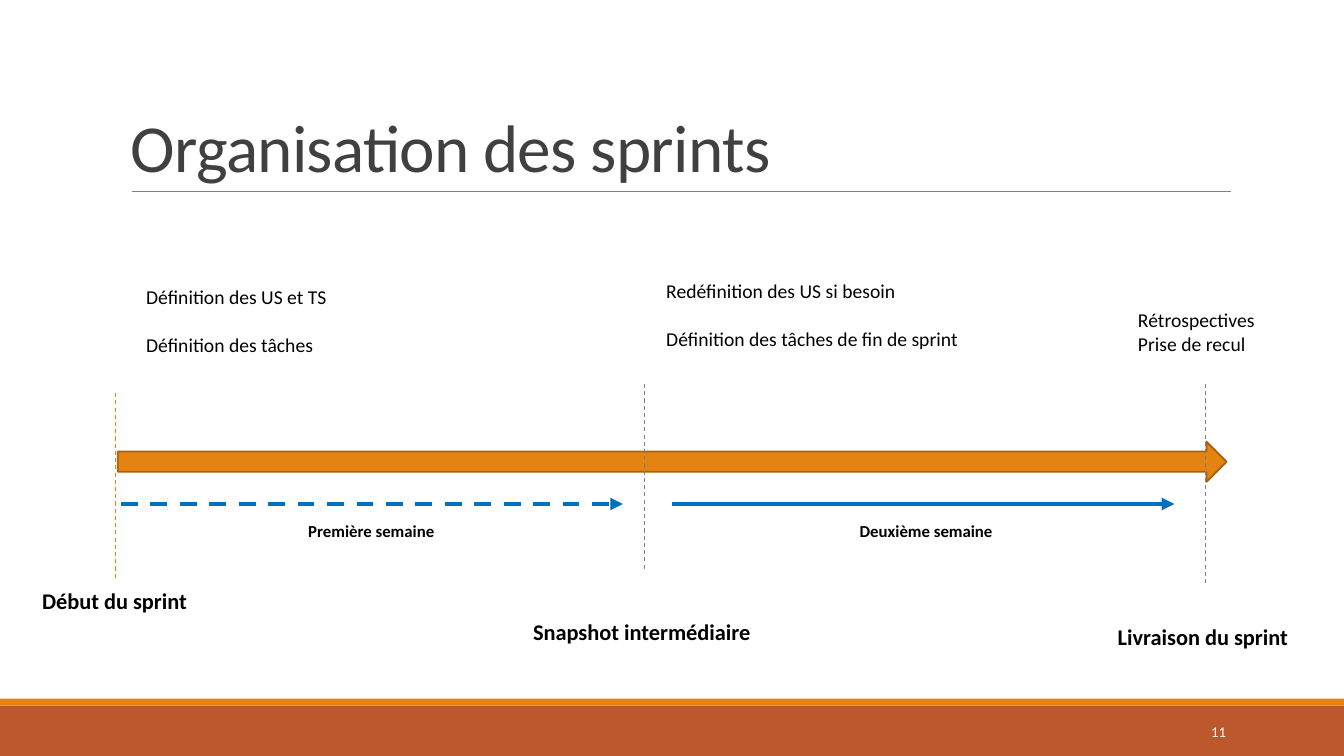
from dataclasses import dataclass

from pptx import Presentation
from pptx.dml.color import RGBColor
from pptx.enum.dml import MSO_LINE
from pptx.enum.shapes import MSO_CONNECTOR, MSO_SHAPE
from pptx.enum.text import MSO_ANCHOR, MSO_AUTO_SIZE, PP_ALIGN
from pptx.oxml.ns import qn
from pptx.util import Pt
from lxml.etree import SubElement


@dataclass(frozen=True)
class Theme:
    font: str = "Calibri"
    orange: str = "E48312"
    orange_edge: str = "A9610D"
    rust: str = "BD582C"
    blue: str = "0070C0"
    grey: str = "808080"
    title_color: str = "404040"
    black: str = "000000"
    white: str = "FFFFFF"
    title_size: float = 48
    milestone_size: float = 16
    note_size: float = 14
    week_size: float = 12
    number_size: float = 10.5


class SlideBuilder:
    def __init__(self, slide, theme):
        self.slide = slide
        self.theme = theme

    def block(self, kind, left, top, width, height, fill, edge=None):
        shape = self.slide.shapes.add_shape(kind, Pt(left), Pt(top), Pt(width), Pt(height))
        shape.shadow.inherit = False
        shape.fill.solid()
        shape.fill.fore_color.rgb = RGBColor.from_string(fill)
        if edge:
            shape.line.color.rgb = RGBColor.from_string(edge)
            shape.line.width = Pt(1.25)
        else:
            shape.line.fill.background()

    def line(self, start, end, color, width, dashed=False, arrow=False):
        connector = self.slide.shapes.add_connector(
            MSO_CONNECTOR.STRAIGHT, *[Pt(value) for value in (*start, *end)]
        )
        connector.line.color.rgb = RGBColor.from_string(color)
        connector.line.width = Pt(width)
        if dashed:
            connector.line.dash_style = MSO_LINE.DASH
        properties = connector._element.spPr
        if arrow:
            SubElement(properties.find(qn("a:ln")), qn("a:tailEnd"), type="triangle")
        SubElement(properties, qn("a:effectLst"))

    def text(self, box, lines, size, color=None, bold=False, wrap=False, grow=True,
             inset=True, gap=0, anchor=MSO_ANCHOR.TOP, align=PP_ALIGN.LEFT,
             line_spacing=None, tracking=None):
        shape = self.slide.shapes.add_textbox(*[Pt(value) for value in box])
        frame = shape.text_frame
        frame.word_wrap = wrap
        frame.auto_size = MSO_AUTO_SIZE.SHAPE_TO_FIT_TEXT if grow else MSO_AUTO_SIZE.NONE
        frame.vertical_anchor = anchor
        if not inset:
            frame.margin_left = frame.margin_right = 0
            frame.margin_top = frame.margin_bottom = 0
        for index, words in enumerate(lines):
            paragraph = frame.add_paragraph() if index else frame.paragraphs[0]
            paragraph.alignment = align
            if line_spacing:
                paragraph.line_spacing = line_spacing
            if index and gap:
                paragraph.space_before = Pt(gap)
            run = paragraph.add_run()
            run.text = words
            if tracking:
                run._r.get_or_add_rPr().set("spc", str(tracking))
            paragraph.font.name = self.theme.font
            paragraph.font.size = Pt(size)
            paragraph.font.bold = bold
            paragraph.font.color.rgb = RGBColor.from_string(color or self.theme.black)

    def week(self, start, dashed, label, label_left, label_width):
        self.line((start, 360), (start + 358.6, 360), self.theme.blue, 3, dashed, arrow=True)
        self.text((label_left, 368.6, label_width, 21.6), [label], self.theme.week_size, bold=True)

    def milestone(self, x, top, bottom, color, label, label_box):
        self.line((x, top), (x, bottom), color, 0.75, dashed=True)
        self.text(label_box, [label], self.theme.milestone_size, bold=True)

    def note(self, box, lines, gap=0, wrap=False):
        self.text(box, lines, self.theme.note_size, wrap=wrap, inset=False, gap=gap)


def main():
    presentation = Presentation()
    presentation.slide_width = Pt(960)
    presentation.slide_height = Pt(540)
    theme = Theme()
    slide = presentation.slides.add_slide(presentation.slide_layouts[6])
    builder = SlideBuilder(slide, theme)

    builder.block(MSO_SHAPE.RECTANGLE, 0, 504, 960, 36, theme.rust)
    builder.block(MSO_SHAPE.RECTANGLE, 0, 499, 960, 5, theme.orange)
    builder.line((94.3, 136.8), (879.1, 136.8), theme.grey, 0.5)
    builder.text((86.4, 22.3, 792, 114.5), ["Organisation des sprints"], theme.title_size,
                 theme.title_color, wrap=True, grow=False, anchor=MSO_ANCHOR.BOTTOM,
                 line_spacing=0.85, tracking=-50)
    builder.text((779.8, 508.3, 103, 28.8), ["11"], theme.number_size, theme.white,
                 wrap=True, grow=False, anchor=MSO_ANCHOR.MIDDLE, align=PP_ALIGN.RIGHT)

    builder.block(MSO_SHAPE.RIGHT_ARROW, 84.2, 315.4, 792, 28.8, theme.orange, theme.orange_edge)
    builder.week(86.4, True, "Première semaine", 213.1, 105.1)
    builder.week(480.2, False, "Deuxième semaine", 607, 110.2)

    builder.milestone(82.8, 280.8, 414.7, theme.orange, "Début du sprint",
                      (23, 416.2, 119.5, 26.6))
    builder.milestone(460.1, 274.3, 408.2, theme.grey, "Snapshot intermédiaire",
                      (373.7, 437.8, 171.4, 26.6))
    builder.milestone(861.1, 274.3, 416.2, theme.grey, "Livraison du sprint",
                      (791.3, 441.4, 137.5, 26.6))

    builder.note((104.4, 203.8, 169.2, 67.7),
                 ["Définition des US et TS", "Définition des tâches"], gap=17, wrap=True)
    builder.note((475.9, 199.4, 211, 51.1),
                 ["Redéfinition des US si besoin", "Définition des tâches de fin de sprint"], gap=17)
    builder.note((812.9, 220.3, 84.2, 33.8), ["Rétrospectives", "Prise de recul"])

    presentation.save("out.pptx")


if __name__ == "__main__":
    main()
